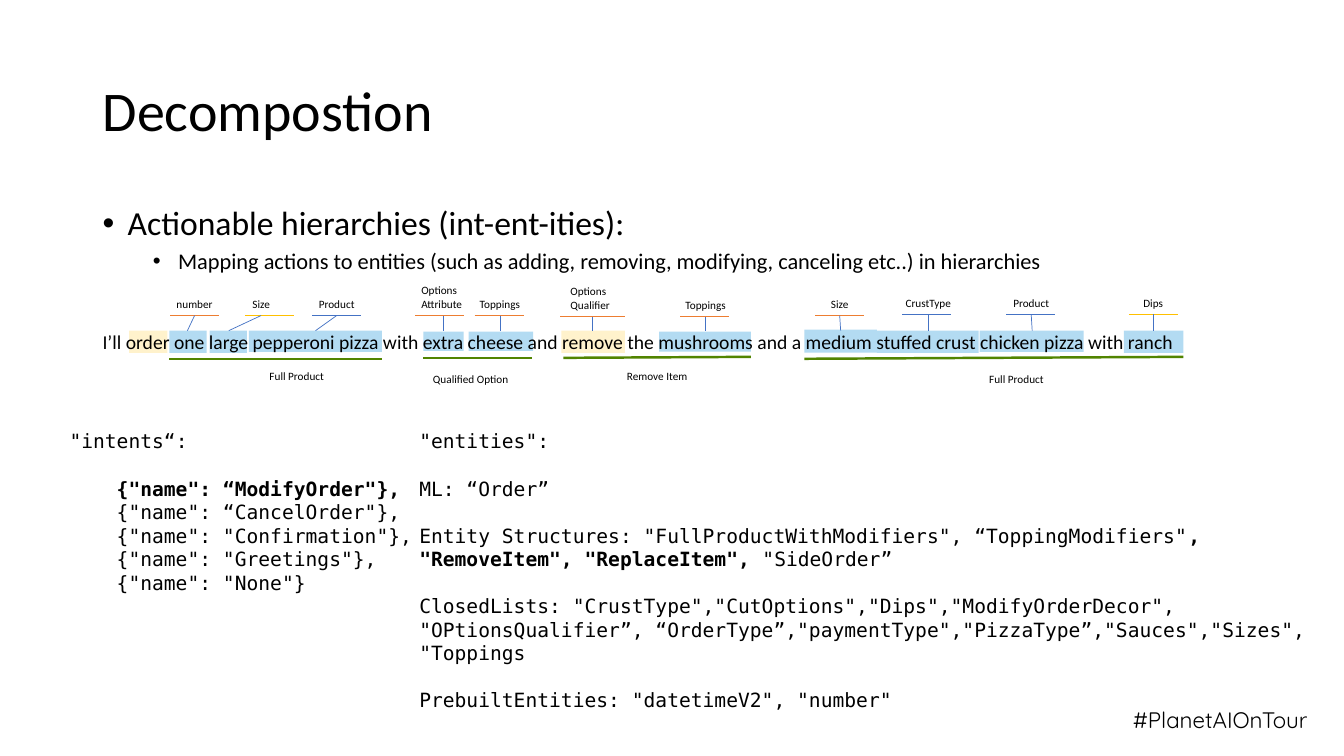
from lxml import etree
from pptx import Presentation
from pptx.dml.color import RGBColor
from pptx.enum.shapes import MSO_CONNECTOR, MSO_SHAPE
from pptx.enum.text import MSO_ANCHOR, MSO_AUTO_SIZE, PP_ALIGN
from pptx.oxml.ns import qn
from pptx.util import Pt

LEFT, CENTER, RIGHT = PP_ALIGN.LEFT, PP_ALIGN.CENTER, PP_ALIGN.RIGHT
TOP, MIDDLE, BOTTOM = MSO_ANCHOR.TOP, MSO_ANCHOR.MIDDLE, MSO_ANCHOR.BOTTOM
NO_AUTOSIZE = MSO_AUTO_SIZE.NONE
STRAIGHT, RECTANGLE = MSO_CONNECTOR.STRAIGHT, MSO_SHAPE.RECTANGLE

BLACK = RGBColor(0x00, 0x00, 0x00)
BLUE = RGBColor(0x44, 0x72, 0xC4)
ORANGE = RGBColor(0xED, 0x7D, 0x31)
GOLD = RGBColor(0xFF, 0xC0, 0x00)
GREEN = RGBColor(0x51, 0x84, 0x00)
ENTITY_FILL = RGBColor(0xB3, 0xDB, 0xF2)
ACTION_FILL = RGBColor(0xFF, 0xF2, 0xCC)
SANS, MONO, HASHTAG_FONT = "Calibri", "DejaVu Sans Mono", "Quicksand"
CODE_LINE = 16.8

# left, top, width, height, fill
HIGHLIGHTS = [
    (92.2, 236.2, 27.4, 15.8, ACTION_FILL),
    (121, 236.2, 26.6, 15.8, ENTITY_FILL),
    (149.8, 236.2, 26.6, 15.8, ENTITY_FILL),
    (177.8, 236.2, 95, 15.1, ENTITY_FILL),
    (302.4, 236.9, 28.8, 13.7, ENTITY_FILL),
    (334.8, 236.9, 46.1, 13.7, ENTITY_FILL),
    (401, 236.2, 45.4, 15.8, ACTION_FILL),
    (470.9, 236.9, 65.5, 14.4, ENTITY_FILL),
    (574.6, 235.4, 51.8, 16.6, ENTITY_FILL),
    (626.4, 236.2, 72.7, 15.8, ENTITY_FILL),
    (699.8, 236.2, 74.2, 15.1, ENTITY_FILL),
    (802.8, 236.2, 42.5, 15.8, ENTITY_FILL),
]

# lines, centre x, pointer end x, rule left, rule width, rule y, rule colour
TAGS = [
    (["number"], 139, 133.9, 121.7, 35, 225.4, ORANGE),
    (["Size"], 186.5, 163.4, 175, 35, 225.4, GOLD),
    (["Product"], 240.5, 225.4, 223.2, 35, 225.4, BLUE),
    (["Options", "Attribute"], 316.8, 316.8, 296.6, 35, 225.4, ORANGE),
    (["Toppings"], 357.1, 357.1, 339.1, 35, 225.4, ORANGE),
    (["Options", "Qualifier"], 423.4, 423.4, 400.3, 46, 226.1, ORANGE),
    (["Toppings"], 504, 504, 486, 35, 226.1, ORANGE),
    (["Size"], 599.8, 600.5, 582.5, 35, 225.4, ORANGE),
    (["CrustType"], 663.1, 663.1, 644.4, 35, 224.6, BLUE),
    (["Product"], 736.6, 737.3, 718.6, 35, 224.6, BLUE),
    (["Dips"], 823.7, 823.7, 806.4, 35, 224.6, GOLD),
]

# caption, centre x, top, underline from x, y, to x, y
SPANS = [
    ("Full Product", 212, 260.6, 121, 256.3, 272.9, 256.3),
    ("Qualified Option", 336.2, 262.1, 302.4, 255.6, 380.2, 255.6),
    ("Remove Item", 469.4, 260.6, 402.5, 255.6, 536.4, 254.9),
    ("Full Product", 726.1, 262.1, 574.6, 256.3, 845.3, 254.9),
]

SENTENCE = ("I’ll order one large pepperoni pizza with extra cheese and remove the mushrooms "
            "and a medium stuffed crust chicken pizza with ranch")

# Code paragraphs: runs of (text, bold), gap before in lines, indent
INTENTS = [
    ([('"intents“:', False)], 0, 0),
    ([('{"name": “ModifyOrder"},', True)], 1, 33.7),
    ([('{"name": “CancelOrder"},', False)], 0, 33.7),
    ([('{"name": "Confirmation"},', False)], 0, 33.7),
    ([('{"name": "Greetings"},', False)], 0, 33.7),
    ([('{"name": "None"}', False)], 0, 33.7),
]
ENTITIES = [
    ([('"entities":', False)], 0, 0),
    ([("ML: “Order”", False)], 1, 0),
    ([('Entity Structures: "FullProductWithModifiers", “ToppingModifiers"', False),
      (', "RemoveItem", "ReplaceItem", ', True), ('"SideOrder”', False)], 1, 0),
    ([('ClosedLists: "CrustType","CutOptions","Dips","ModifyOrderDecor", '
       '"OPtionsQualifier”, “OrderType”,"paymentType","PizzaType”,"Sauces","Sizes", '
       '"Toppings', False)], 1, 0),
    ([('PrebuiltEntities: "datetimeV2", "number"', False)], 1, 0),
]


def add_run(p, text, size, font=SANS, bold=False):
    r = p.add_run()
    r.text = text
    r.font.size, r.font.name, r.font.bold = Pt(size), font, bold
    r.font.color.rgb = BLACK


def next_paragraph(tf, index):
    return tf.add_paragraph() if index else tf.paragraphs[0]


def add_box(s, left, top, width, height, anchor=TOP, side=7.2, vertical=3.6, wrap=True):
    tf = s.shapes.add_textbox(Pt(left), Pt(top), Pt(width), Pt(height)).text_frame
    tf.word_wrap, tf.vertical_anchor = wrap, anchor
    tf.margin_left = tf.margin_right = Pt(side)
    tf.margin_top = tf.margin_bottom = Pt(vertical)
    return tf


def add_lines(tf, lines, size, align=LEFT, font=SANS):
    for i, line in enumerate(lines):
        p = next_paragraph(tf, i)
        p.alignment = align
        add_run(p, line, size, font)


def add_title(s, text):
    title = s.shapes.title
    title.left, title.top, title.width, title.height = Pt(66.2), Pt(28.8), Pt(828), Pt(104.4)
    tf = title.text_frame
    tf.vertical_anchor, tf.auto_size = MIDDLE, NO_AUTOSIZE
    p = tf.paragraphs[0]
    p.alignment, p.line_spacing = LEFT, 0.9
    add_run(p, text, 40)


def add_bullets(s, bullets):
    tf = add_box(s, 66.2, 144, 828, 60)
    for i, (text, size, indent, before) in enumerate(bullets):
        p = next_paragraph(tf, i)
        p.line_spacing, p.space_before, p.level = 0.9, Pt(before), i
        add_run(p, text, size)
        pPr = p._p.get_or_add_pPr()
        pPr.set("marL", str(Pt(indent)))
        pPr.set("indent", str(Pt(-18)))
        etree.SubElement(pPr, qn("a:buFont")).set("typeface", "Arial")
        etree.SubElement(pPr, qn("a:buChar")).set("char", "•")


def add_code(s, left, width, height, paragraphs):
    tf = add_box(s, left, 306.7, width, height, side=0, vertical=0)
    for i, (runs, gap, indent) in enumerate(paragraphs):
        p = next_paragraph(tf, i)
        p.line_spacing, p.space_before = Pt(CODE_LINE), Pt(gap * CODE_LINE)
        p._p.get_or_add_pPr().set("marL", str(Pt(indent)))
        for text, bold in runs:
            add_run(p, text, 14, MONO, bold)


def add_line(s, x1, y1, x2, y2, color, width=0.5):
    line = s.shapes.add_connector(STRAIGHT, Pt(x1), Pt(y1), Pt(x2), Pt(y2))
    line.line.color.rgb, line.line.width = color, Pt(width)
    etree.SubElement(line._element.spPr, qn("a:effectLst"))


def add_highlight(s, left, top, width, height, color):
    sp = s.shapes.add_shape(RECTANGLE, Pt(left), Pt(top), Pt(width), Pt(height))
    sp.shadow.inherit = False
    sp.fill.solid()
    sp.fill.fore_color.rgb = color
    sp.line.fill.background()


def add_tag(s, lines, x, target_x, rule_left, rule_width, y, color):
    """Label above a coloured rule, with a pointer down to its words."""
    stacked = len(lines) > 1
    height = 26.6 if stacked else 17.3
    tf = add_box(s, x - 23, y - height, 46, height, BOTTOM, side=7.2 if stacked else 0)
    add_lines(tf, lines, 8, LEFT if stacked else CENTER)
    add_line(s, rule_left, y, rule_left + rule_width, y, color)
    add_line(s, x, y, target_x, 236.2, BLUE)


def add_span(s, caption, x, top, x1, y1, x2, y2):
    add_line(s, x1, y1, x2, y2, GREEN, 1.75)
    add_lines(add_box(s, x - 35, top, 70, 17.3, side=0), [caption], 8, CENTER)


def main():
    prs = Presentation()
    prs.slide_width, prs.slide_height = Pt(960), Pt(540)
    s = prs.slides.add_slide(prs.slide_layouts[5])
    add_title(s, "Decompostion")
    add_lines(add_box(s, 786.2, 501.1, 154.8, 26.6), ["#PlanetAIOnTour"], 16, RIGHT, HASHTAG_FONT)
    add_bullets(s, [
        ("Actionable hierarchies (int-ent-ities):", 24, 18, 10),
        ("Mapping actions to entities (such as adding, removing, modifying, "
         "canceling etc..) in hierarchies", 16, 54, 5),
    ])
    add_code(s, 49.7, 249.8, 135.4, INTENTS)
    add_code(s, 299.5, 658.1, 186.5, ENTITIES)
    for highlight in HIGHLIGHTS:
        add_highlight(s, *highlight)
    for tag in TAGS:
        add_tag(s, *tag)
    for span in SPANS:
        add_span(s, *span)
    add_lines(add_box(s, 66.2, 231.8, 849.6, 24.5, wrap=False), [SENTENCE], 14)
    prs.save("out.pptx")


if __name__ == "__main__":
    main()
